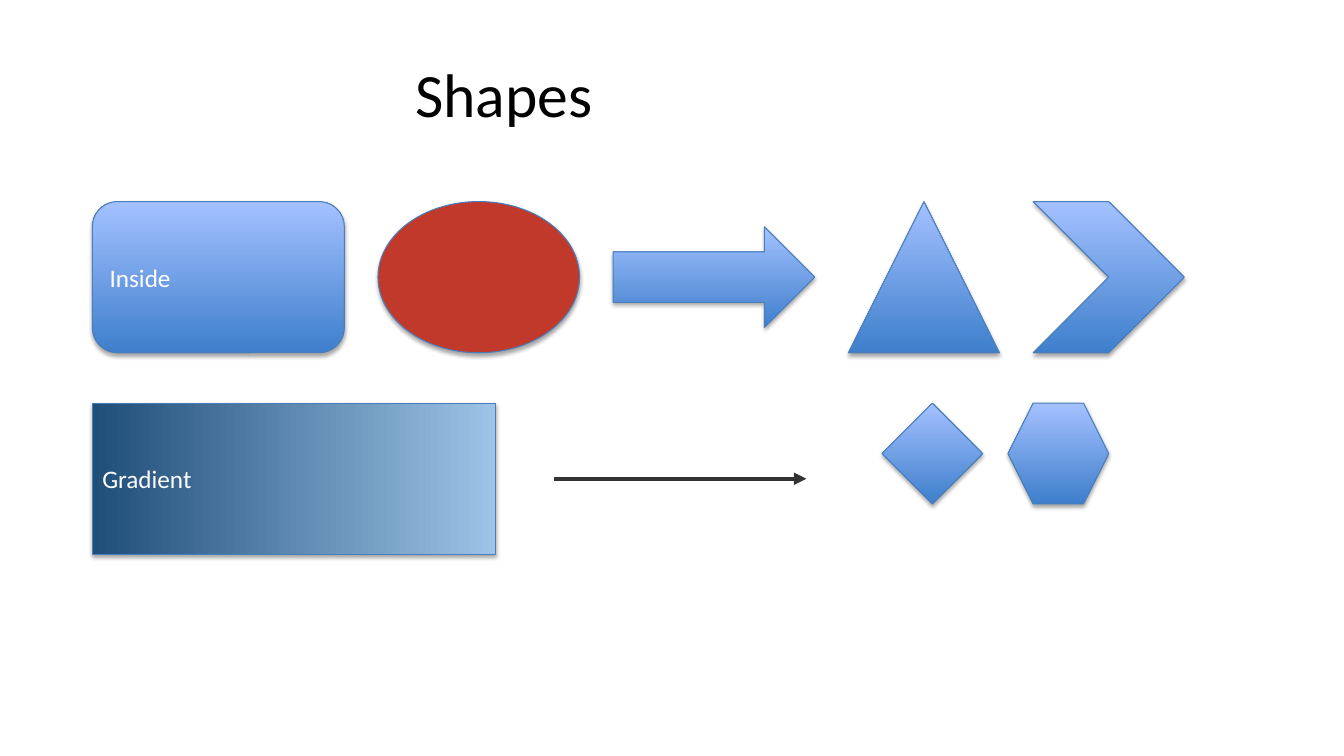
from dataclasses import dataclass

from lxml import etree
from pptx import Presentation
from pptx.dml.color import RGBColor
from pptx.enum.shapes import MSO_CONNECTOR, MSO_SHAPE
from pptx.enum.text import MSO_ANCHOR, PP_ALIGN
from pptx.oxml import parse_xml
from pptx.oxml.ns import nsdecls, qn
from pptx.util import Pt

ROUNDED = MSO_SHAPE.ROUNDED_RECTANGLE
RECTANGLE = MSO_SHAPE.RECTANGLE
OVAL = MSO_SHAPE.OVAL
ARROW = MSO_SHAPE.RIGHT_ARROW
TRIANGLE = MSO_SHAPE.ISOSCELES_TRIANGLE
CHEVRON = MSO_SHAPE.CHEVRON
DIAMOND = MSO_SHAPE.DIAMOND
HEXAGON = MSO_SHAPE.HEXAGON
STRAIGHT = MSO_CONNECTOR.STRAIGHT
MIDDLE = MSO_ANCHOR.MIDDLE
LEFT, CENTER = PP_ALIGN.LEFT, PP_ALIGN.CENTER


@dataclass(frozen=True)
class Theme:
    font: str = "Calibri"
    title_size: int = 44
    label_size: int = 18
    title: str = "000000"
    label: str = "FFFFFF"
    outline: str = "4A7EBB"
    outline_width: float = 0.75
    red: str = "C0392B"
    connector: str = "333333"
    connector_width: int = 3
    # Gradients: first colour, last colour, counter-clockwise angle
    blue: tuple = ("3E7FCC", "A4C1FF", 90)
    navy: tuple = ("1F4E79", "9DC3E6", 0)


THEME = Theme()
SHADOW = (
    f'<a:outerShdw {nsdecls("a")} blurRad="{Pt(3.1)}" dist="{Pt(1.8)}" '
    'dir="5400000" rotWithShape="0">'
    '<a:srgbClr val="000000"><a:alpha val="35000"/></a:srgbClr></a:outerShdw>'
)


def points(*lengths):
    return [Pt(length) for length in lengths]


def write_text(shape, text, size, color, alignment):
    frame = shape.text_frame
    frame_format = {"word_wrap": True, "vertical_anchor": MIDDLE}
    for name, value in frame_format.items():
        setattr(frame, name, value)
    paragraph = frame.paragraphs[0]
    paragraph.text = text
    paragraph.alignment = alignment
    for name, value in {"name": THEME.font, "size": Pt(size)}.items():
        setattr(paragraph.font, name, value)
    paragraph.font.color.rgb = RGBColor.from_string(color)


def paint(fill, paint_value):
    """Fill with one colour, or with a gradient given as a tuple."""
    if isinstance(paint_value, str):
        fill.solid()
        fill.fore_color.rgb = RGBColor.from_string(paint_value)
        return
    *colors, angle = paint_value
    fill.gradient()
    fill.gradient_angle = angle
    for stop, color, position in zip(fill.gradient_stops, colors, (0, 1)):
        stop.color.rgb = RGBColor.from_string(color)
        stop.position = position


def style_line(line, color, width):
    line.color.rgb = RGBColor.from_string(color)
    line.width = Pt(width)


def add_figure(shapes, kind, box, paint_value=THEME.blue, label=None):
    shape = shapes.add_shape(kind, *points(*box))
    paint(shape.fill, paint_value)
    style_line(shape.line, THEME.outline, THEME.outline_width)
    shape.shadow.inherit = False
    shape.element.spPr.find(qn("a:effectLst")).append(parse_xml(SHADOW))
    if label:
        write_text(shape, label, THEME.label_size, THEME.label, LEFT)


def draw_title(slide, box):
    title = slide.shapes.add_textbox(*points(*box))
    write_text(title, "Shapes", THEME.title_size, THEME.title, CENTER)


def draw_top_row(slide, box):
    """Figures in a row with equal gaps, centred on the row's height."""
    left, top, _, height = box
    gap = 24
    figures = [
        (ROUNDED, 180, height, THEME.blue, "Inside"),
        (OVAL, 144, height, THEME.red, None),
        (ARROW, 144, 72, THEME.blue, None),
        (TRIANGLE, 108, height, THEME.blue, None),
        (CHEVRON, 108, height, THEME.blue, None),
    ]
    for kind, width, figure_height, paint_value, label in figures:
        figure_top = top + (height - figure_height) / 2
        figure_box = (left, figure_top, width, figure_height)
        add_figure(slide.shapes, kind, figure_box, paint_value, label)
        left += width + gap


def draw_arrow_line(slide, left, y, length):
    connector = slide.shapes.add_connector(STRAIGHT, *points(left, y, left + length, y))
    style_line(connector.line, THEME.connector, THEME.connector_width)
    properties = connector.element.spPr
    etree.SubElement(properties.find(qn("a:ln")), qn("a:tailEnd"), type="triangle")
    etree.SubElement(properties, qn("a:effectLst"))


def draw_bottom_row(slide, box):
    left, top, _, height = box
    add_figure(slide.shapes, RECTANGLE, (left, top, 288, height), THEME.navy, "Gradient")
    draw_arrow_line(slide, left + 330, top + height / 2, 180)

    # Grouped pair
    group = slide.shapes.add_group_shape()
    side, step = 72, 90
    for index, kind in enumerate((DIAMOND, HEXAGON)):
        add_figure(group.shapes, kind, (left + 564 + index * step, top, side, side))


def main():
    presentation = Presentation()
    presentation.slide_width, presentation.slide_height = points(960, 540)
    slide = presentation.slides.add_slide(presentation.slide_layouts[6])
    draw_title(slide, (36, 21.6, 648, 90))
    draw_top_row(slide, (66, 144, 780, 108))
    draw_bottom_row(slide, (66, 288, 780, 108))
    presentation.save("out.pptx")


if __name__ == "__main__":
    main()
